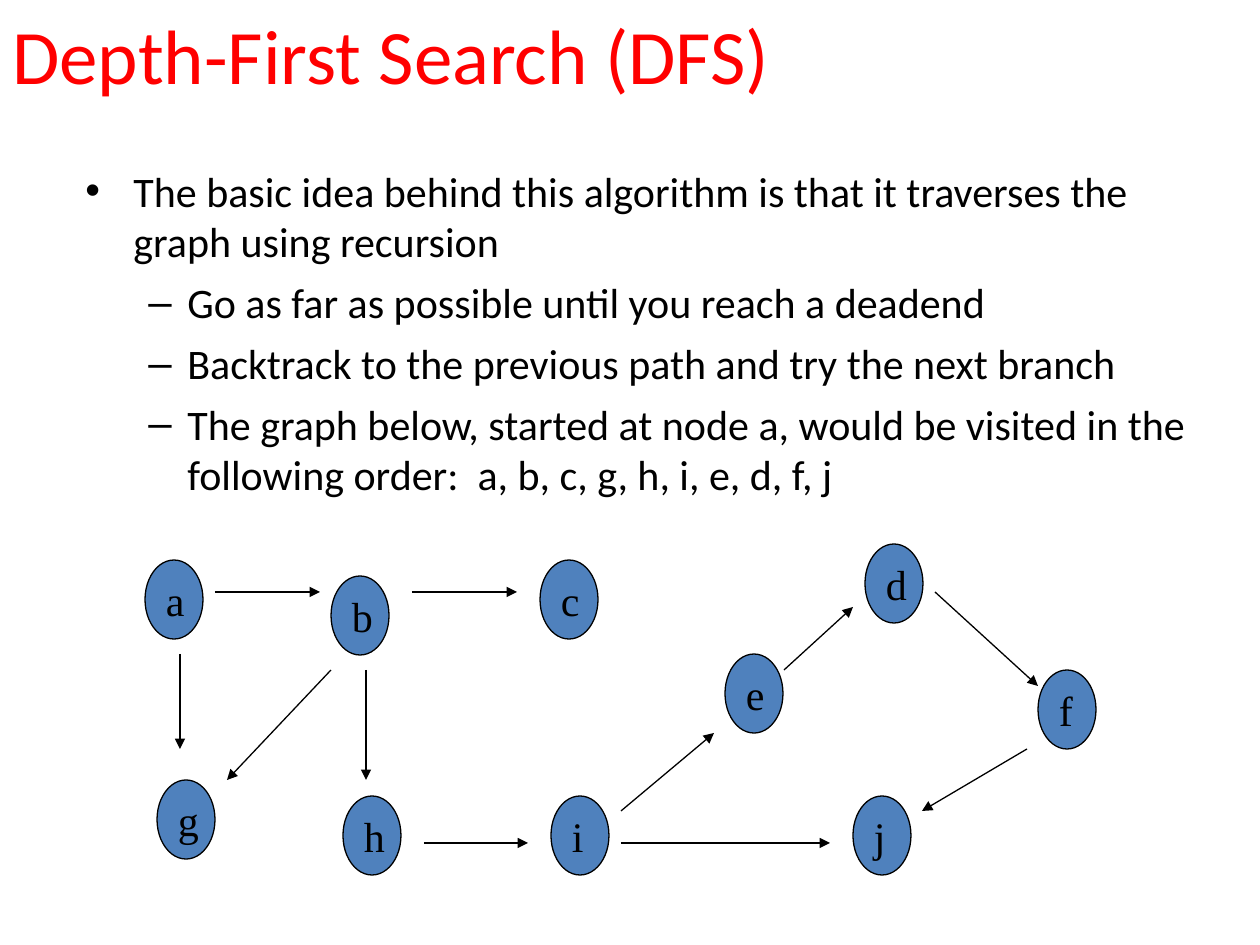
"""Build a slide that explains depth-first search with a small directed graph."""
from dataclasses import dataclass
from typing import NamedTuple

from lxml.etree import SubElement
from pptx import Presentation
from pptx.dml.color import RGBColor
from pptx.enum.shapes import MSO_CONNECTOR, MSO_SHAPE
from pptx.enum.text import MSO_ANCHOR, PP_ALIGN
from pptx.oxml.ns import qn
from pptx.shapes.autoshape import Shape
from pptx.slide import Slide
from pptx.text.text import _Paragraph
from pptx.util import Emu, Pt

PX_PER_INCH = 126
NODE_WIDTH, NODE_HEIGHT = 58, 79


@dataclass(frozen=True)
class Theme:
    heading: RGBColor = RGBColor(0xFF, 0x00, 0x00)
    ink: RGBColor = RGBColor(0x00, 0x00, 0x00)
    node_fill: RGBColor = RGBColor(0x4F, 0x81, 0xBD)
    text_font: str = "Calibri"
    node_font: str = "Times New Roman"
    heading_size: Pt = Pt(44)
    text_size: Pt = Pt(24)
    bullet_gap: Pt = Pt(6)
    line_width: Pt = Pt(0.75)


class Box(NamedTuple):
    left: int
    top: int
    width: int
    height: int


class BulletStyle(NamedTuple):
    mark: str
    margin: int
    hang: int


class Bullet(NamedTuple):
    level: int
    text: str


class Node(NamedTuple):
    label: str
    left: int
    top: int


class Edge(NamedTuple):
    start_x: int
    start_y: int
    end_x: int
    end_y: int


THEME = Theme()
TITLE_BOX = Box(0, -25, 1134, 157)
IDEA_BOX = Box(73, 159, 1135, 392)
BULLET_STYLES = (BulletStyle("•", 48, 48), BulletStyle("–", 102, 39))
BULLETS = (
    Bullet(0, "The basic idea behind this algorithm is that it traverses the graph using recursion"),
    Bullet(1, "Go as far as possible until you reach a deadend"),
    Bullet(1, "Backtrack to the previous path and try the next branch"),
    Bullet(1, "The graph below, started at node a, would be visited in the "
              "following order:  a, b, c, g, h, i, e, d, f, j"),
)
NODES = (
    Node("a", 145, 560), Node("b", 331, 576), Node("c", 540, 560),
    Node("g", 157, 780), Node("h", 343, 796), Node("i", 551, 796),
    Node("e", 725, 654), Node("d", 865, 544), Node("f", 1038, 670),
    Node("j", 853, 796),
)
EDGES = (
    Edge(215, 592, 320, 592), Edge(412, 592, 517, 592),
    Edge(180, 654, 180, 749), Edge(331, 670, 227, 780),
    Edge(366, 670, 366, 780), Edge(424, 843, 528, 843),
    Edge(621, 811, 714, 733), Edge(621, 843, 830, 843),
    Edge(784, 670, 853, 607), Edge(935, 592, 1038, 686),
    Edge(1027, 749, 922, 811),
)


def px(length: int) -> Emu:
    return Emu(round(length * 914400 / PX_PER_INCH))


def style_font(paragraph: _Paragraph, name: str, size: Pt, color: RGBColor) -> None:
    paragraph.font.name = name
    paragraph.font.size = size
    paragraph.font.color.rgb = color


def add_text_box(slide: Slide, box: Box) -> Shape:
    text_box = slide.shapes.add_textbox(*map(px, box))
    text_box.text_frame.word_wrap = True
    return text_box


def add_title(slide: Slide) -> None:
    frame = add_text_box(slide, TITLE_BOX).text_frame
    frame.vertical_anchor = MSO_ANCHOR.MIDDLE
    title = frame.paragraphs[0]
    title.text = "Depth-First Search (DFS)"
    style_font(title, THEME.text_font, THEME.heading_size, THEME.heading)


def add_bullet_mark(paragraph: _Paragraph, style: BulletStyle) -> None:
    properties = paragraph._p.get_or_add_pPr()
    properties.set("marL", str(px(style.margin)))
    properties.set("indent", str(px(-style.hang)))
    SubElement(properties, qn("a:buFont"), typeface="Arial")
    SubElement(properties, qn("a:buChar"), char=style.mark)


def add_idea(slide: Slide) -> None:
    frame = add_text_box(slide, IDEA_BOX).text_frame
    for position, bullet in enumerate(BULLETS):
        paragraph = frame.add_paragraph() if position else frame.paragraphs[0]
        paragraph.text = bullet.text
        paragraph.level = bullet.level
        add_bullet_mark(paragraph, BULLET_STYLES[bullet.level])
        paragraph.space_before = THEME.bullet_gap if position else Pt(0)
        style_font(paragraph, THEME.text_font, THEME.text_size, THEME.ink)


def add_node(slide: Slide, node: Node) -> None:
    ellipse = slide.shapes.add_shape(
        MSO_SHAPE.OVAL, px(node.left), px(node.top), px(NODE_WIDTH), px(NODE_HEIGHT))
    ellipse.shadow.inherit = False
    ellipse.fill.solid()
    ellipse.fill.fore_color.rgb = THEME.node_fill
    ellipse.line.color.rgb = THEME.ink
    ellipse.line.width = THEME.line_width
    frame = ellipse.text_frame
    frame.word_wrap = False
    frame.vertical_anchor = MSO_ANCHOR.MIDDLE
    label = frame.paragraphs[0]
    label.text = node.label
    label.alignment = PP_ALIGN.LEFT
    style_font(label, THEME.node_font, THEME.text_size, THEME.ink)


def add_edge(slide: Slide, edge: Edge) -> None:
    arrow = slide.shapes.add_connector(MSO_CONNECTOR.STRAIGHT, *map(px, edge))
    arrow.line.color.rgb = THEME.ink
    arrow.line.width = THEME.line_width
    SubElement(arrow.line._get_or_add_ln(), qn("a:tailEnd"), type="triangle")
    SubElement(arrow._element.spPr, qn("a:effectLst"))


def main() -> None:
    presentation = Presentation()
    presentation.slide_width = px(1260)
    presentation.slide_height = px(945)
    slide = presentation.slides.add_slide(presentation.slide_layouts[6])
    add_title(slide)
    add_idea(slide)
    for node in NODES:
        add_node(slide, node)
    for edge in EDGES:
        add_edge(slide, edge)
    presentation.save("out.pptx")


if __name__ == "__main__":
    main()
